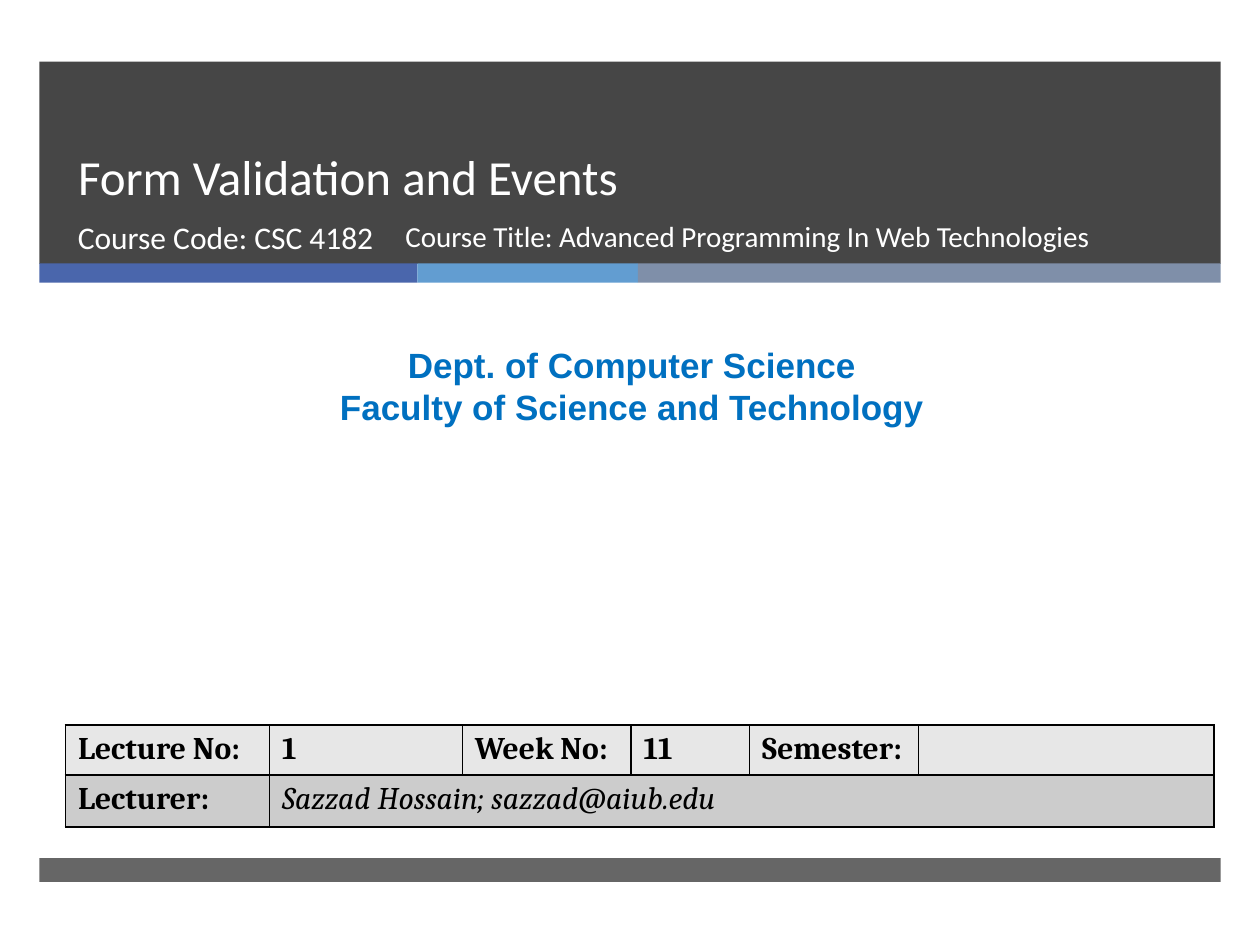
from dataclasses import dataclass

from lxml.etree import SubElement
from pptx import Presentation
from pptx.dml.color import RGBColor
from pptx.enum.shapes import MSO_SHAPE
from pptx.enum.text import MSO_ANCHOR, MSO_AUTO_SIZE, PP_ALIGN
from pptx.oxml.ns import qn
from pptx.util import Pt


@dataclass(frozen=True)
class Theme:
    dark: str = "262626"
    blue: str = "4A66AC"
    sky: str = "629DD1"
    slate: str = "7F8FA9"
    white: str = "FFFFFF"
    dept: str = "0070C0"
    black: str = "000000"
    rows: tuple[str, ...] = ("E7E7E7", "CCCCCC")
    head_font: str = "Calibri"
    dept_font: str = "Arial"
    table_font: str = "Cambria"
    title_size: float = 28
    dept_size: float = 20
    body_size: float = 18
    course_size: float = 16.6


@dataclass(frozen=True)
class Band:
    left: float
    top: float
    width: float
    height: float
    color: str
    opacity: int = 100


@dataclass(frozen=True)
class Label:
    left: float
    top: float
    width: float
    height: float
    lines: tuple[str, ...]
    font: str
    size: float
    color: str
    bold: bool = False
    align: PP_ALIGN = PP_ALIGN.LEFT


THEME = Theme()
LEFT, WIDTH = 22.5, 675
STRIPE_TOP, STRIPE_HEIGHT = 150.5, 11
COURSE_TOP, COURSE_HEIGHT = 121, 38

BANDS = [
    Band(LEFT, 35.2, WIDTH, 115.6, THEME.dark, 85),
    Band(LEFT, STRIPE_TOP, 216, STRIPE_HEIGHT, THEME.blue),
    Band(LEFT + 216, STRIPE_TOP, 126, STRIPE_HEIGHT, THEME.sky),
    Band(LEFT + 342, STRIPE_TOP, WIDTH - 342, STRIPE_HEIGHT, THEME.slate),
    Band(LEFT, 490.3, WIDTH, 13.7, THEME.dark, 70),
]
TITLE = Label(37.4, 35.2, 615, 85.8, ("Form Validation and Events",),
              THEME.head_font, THEME.title_size, THEME.white)
LABELS = [
    Label(37.4, COURSE_TOP, 219.6, COURSE_HEIGHT, ("Course Code: CSC 4182",),
          THEME.head_font, THEME.body_size, THEME.white),
    Label(5.8, 193, 710.6, 55.4,
          ("Dept. of Computer Science", "Faculty of Science and Technology"),
          THEME.dept_font, THEME.dept_size, THEME.dept, True, PP_ALIGN.CENTER),
    Label(224.6, COURSE_TOP, 427.7, COURSE_HEIGHT,
          ("Course Title: Advanced Programming In Web Technologies",),
          THEME.head_font, THEME.course_size, THEME.white),
]
COLUMNS = (116.6, 110.2, 96.5, 67.7, 96.5, 168.8)
ROWS = (28.6, 29.5)
DETAILS = (
    ("Lecture No:", "1", "Week No:", "11", "Semester:", ""),
    ("Lecturer:", "Sazzad Hossain; sazzad@aiub.edu", "", "", "", ""),
)


def style(p, font: str, size: float, color: str, bold: bool = False, italic: bool = False) -> None:
    p.font.name, p.font.size = font, Pt(size)
    p.font.bold, p.font.italic = bold, italic
    p.font.color.rgb = RGBColor.from_string(color)


def draw_band(s, band: Band) -> None:
    sp = s.shapes.add_shape(MSO_SHAPE.RECTANGLE, Pt(band.left), Pt(band.top),
                            Pt(band.width), Pt(band.height))
    sp.shadow.inherit = False
    sp.line.fill.background()
    sp.fill.solid()
    sp.fill.fore_color.rgb = RGBColor.from_string(band.color)
    if band.opacity < 100:
        color = sp.element.spPr.find(qn("a:solidFill"))[0]
        SubElement(color, qn("a:alpha"), val=str(band.opacity * 1000))


def fill_text(sp, label: Label) -> None:
    tf = sp.text_frame
    tf.word_wrap = True
    tf.auto_size = MSO_AUTO_SIZE.NONE
    tf.text = "\n".join(label.lines)
    for p in tf.paragraphs:
        p.alignment = label.align
        style(p, label.font, label.size, label.color, label.bold)


def draw_label(s, label: Label) -> None:
    sp = s.shapes.add_textbox(Pt(label.left), Pt(label.top), Pt(label.width), Pt(label.height))
    fill_text(sp, label)


def draw_title(s, label: Label) -> None:
    sp = s.shapes.title
    sp.left, sp.top = Pt(label.left), Pt(label.top)
    sp.width, sp.height = Pt(label.width), Pt(label.height)
    fill_text(sp, label)
    sp.text_frame.vertical_anchor = MSO_ANCHOR.BOTTOM
    sp.text_frame.paragraphs[0].line_spacing = Pt(46)
    # Bring the title in front of the header band
    s.shapes.element.append(sp.element)


def set_borders(cell, color: str, width: float) -> None:
    tc_pr = cell._tc.get_or_add_tcPr()
    for i, side in enumerate(("a:lnL", "a:lnR", "a:lnT", "a:lnB")):
        ln = tc_pr.makeelement(qn(side), {"w": str(Pt(width))})
        SubElement(SubElement(ln, qn("a:solidFill")), qn("a:srgbClr"), val=color)
        tc_pr.insert(i, ln)


def draw_details(s) -> None:
    table = s.shapes.add_table(len(ROWS), len(COLUMNS), Pt(37.4), Pt(414.4),
                               Pt(sum(COLUMNS)), Pt(sum(ROWS))).table
    for column, width in zip(table.columns, COLUMNS):
        column.width = Pt(width)
    for row, height in zip(table.rows, ROWS):
        row.height = Pt(height)
    table.cell(1, 1).merge(table.cell(1, len(COLUMNS) - 1))
    for r, texts in enumerate(DETAILS):
        for c, text in enumerate(texts):
            cell = table.cell(r, c)
            cell.fill.solid()
            cell.fill.fore_color.rgb = RGBColor.from_string(THEME.rows[r])
            set_borders(cell, THEME.black, 1)
            if text:
                cell.text = text
            lecturer = (r, c) == (1, 1)
            style(cell.text_frame.paragraphs[0], THEME.table_font, THEME.body_size,
                  THEME.black, bold=not lecturer, italic=lecturer)


def main() -> None:
    prs = Presentation()
    prs.slide_width, prs.slide_height = Pt(720), Pt(540)
    s = prs.slides.add_slide(prs.slide_layouts[5])
    # Header, colour stripe and footer
    for band in BANDS:
        draw_band(s, band)
    # Title, course and department
    draw_title(s, TITLE)
    for label in LABELS:
        draw_label(s, label)
    # Lecture details
    draw_details(s)
    prs.save("out.pptx")


if __name__ == "__main__":
    main()
